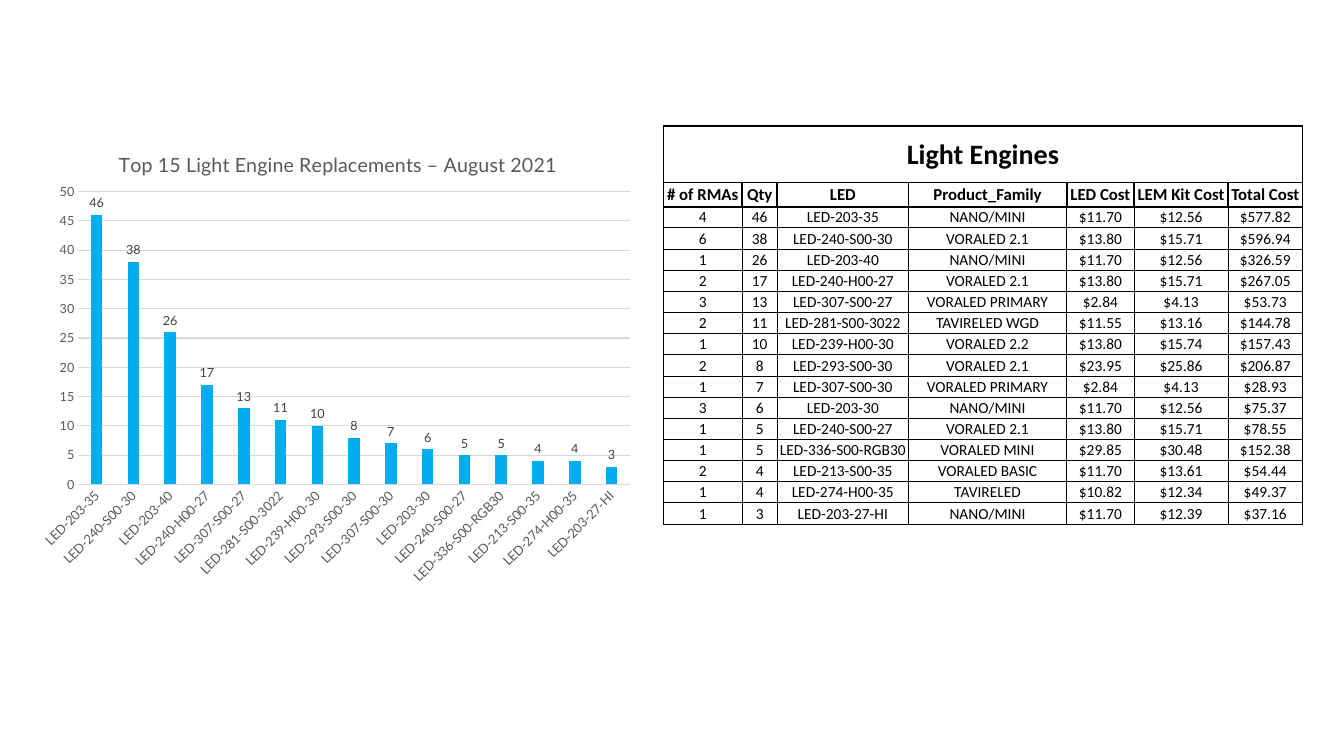
from lxml import etree
from pptx import Presentation
from pptx.chart.data import CategoryChartData
from pptx.dml.color import RGBColor
from pptx.enum.chart import XL_CHART_TYPE, XL_LABEL_POSITION, XL_TICK_MARK
from pptx.enum.text import MSO_ANCHOR, PP_ALIGN
from pptx.oxml import parse_xml
from pptx.oxml.ns import nsdecls, qn
from pptx.util import Inches, Pt

COLUMN_CLUSTERED = XL_CHART_TYPE.COLUMN_CLUSTERED
OUTSIDE_END = XL_LABEL_POSITION.OUTSIDE_END
NO_TICK = XL_TICK_MARK.NONE
CENTER = PP_ALIGN.CENTER
MIDDLE = MSO_ANCHOR.MIDDLE

CHART_TITLE = "Top 15 Light Engine Replacements – August 2021"
TABLE_TITLE = "Light Engines"
HEADERS = ["# of RMAs", "Qty", "LED", "Product_Family", "LED Cost", "LEM Kit Cost", "Total Cost"]
COLUMN_WIDTHS = [0.78, 0.35, 1.3, 1.57, 0.67, 0.93, 0.74]
LIGHT_ENGINES = [
    (4, 46, "LED-203-35", "NANO/MINI", 11.70, 12.56, 577.82),
    (6, 38, "LED-240-S00-30", "VORALED 2.1", 13.80, 15.71, 596.94),
    (1, 26, "LED-203-40", "NANO/MINI", 11.70, 12.56, 326.59),
    (2, 17, "LED-240-H00-27", "VORALED 2.1", 13.80, 15.71, 267.05),
    (3, 13, "LED-307-S00-27", "VORALED PRIMARY", 2.84, 4.13, 53.73),
    (2, 11, "LED-281-S00-3022", "TAVIRELED WGD", 11.55, 13.16, 144.78),
    (1, 10, "LED-239-H00-30", "VORALED 2.2", 13.80, 15.74, 157.43),
    (2, 8, "LED-293-S00-30", "VORALED 2.1", 23.95, 25.86, 206.87),
    (1, 7, "LED-307-S00-30", "VORALED PRIMARY", 2.84, 4.13, 28.93),
    (3, 6, "LED-203-30", "NANO/MINI", 11.70, 12.56, 75.37),
    (1, 5, "LED-240-S00-27", "VORALED 2.1", 13.80, 15.71, 78.55),
    (1, 5, "LED-336-S00-RGB30", "VORALED MINI", 29.85, 30.48, 152.38),
    (2, 4, "LED-213-S00-35", "VORALED BASIC", 11.70, 13.61, 54.44),
    (1, 4, "LED-274-H00-35", "TAVIRELED", 10.82, 12.34, 49.37),
    (1, 3, "LED-203-27-HI", "NANO/MINI", 11.70, 12.39, 37.16),
]


def color(hex_code):
    return RGBColor.from_string(hex_code)


def set_layout(element, index, **fractions):
    """Place a chart part by fractions of the chart's size."""
    for old_layout in element.findall(qn("c:layout")):
        element.remove(old_layout)
    layout = parse_xml(f"<c:layout {nsdecls('c')}><c:manualLayout/></c:layout>")
    for name, value in fractions.items():
        etree.SubElement(layout[0], qn(f"c:{name}")).set("val", str(value))
    element.insert(index, layout)


class SlideBuilder:
    chart_font = "Lato"
    table_font = "Calibri"
    black, white = "000000", "FFFFFF"
    axis_text, label_text = "595959", "404040"
    grid, bar = "D9D9D9", "00AEEF"
    thin, thick = 0.5, 1.5

    def __init__(self, slide):
        self.slide = slide

    def style_font(self, font, name, size, hex_code, bold=False):
        font.name = name
        font.size = Pt(size)
        font.bold = bold
        font.color.rgb = color(hex_code)

    def style_line(self, line):
        line.color.rgb = color(self.grid)
        line.width = Pt(0.75)

    def add_column_chart(self, left, top, width, height, title, categories, values):
        data = CategoryChartData(number_format="#,##0")
        data.categories = categories
        data.add_series("Qty", values)
        frame = self.slide.shapes.add_chart(
            COLUMN_CLUSTERED, Inches(left), Inches(top), Inches(width), Inches(height), data)
        chart = frame.chart
        self.style_font(chart.font, self.chart_font, 10, self.black)
        chart.has_legend = False
        self.add_chart_title(chart, title)
        self.style_axes(chart)
        self.style_columns(chart.plots[0])
        plot_area = chart.element.xpath("c:chart/c:plotArea")[0]
        set_layout(plot_area, 0, layoutTarget="inner", xMode="edge", yMode="edge",
                   x=0.08, y=0.14, w=0.9, h=0.625)

    def add_chart_title(self, chart, title):
        chart.has_title = True
        paragraph = chart.chart_title.text_frame.paragraphs[0]
        paragraph.text = title
        self.style_font(paragraph.font, self.chart_font, 14, self.axis_text)
        chart.chart_title.include_in_layout = False
        title_element = chart.element.xpath("c:chart/c:title")[0]
        set_layout(title_element, 1, xMode="edge", yMode="edge", x=0.14, y=0.045)

    def style_axes(self, chart):
        for axis, size in ((chart.category_axis, 9.3), (chart.value_axis, 9)):
            axis.major_tick_mark = axis.minor_tick_mark = NO_TICK
            self.style_font(axis.tick_labels.font, self.chart_font, size, self.axis_text)
        self.style_line(chart.category_axis.format.line)
        body = chart.element.xpath("c:chart/c:plotArea/c:catAx/c:txPr/a:bodyPr")[0]
        body.set("rot", "-2700000")
        value_axis = chart.value_axis
        value_axis.minimum_scale, value_axis.maximum_scale = 0, 50
        value_axis.major_unit = 5
        value_axis.format.line.fill.background()
        value_axis.has_major_gridlines = True
        self.style_line(value_axis.major_gridlines.format.line)

    def style_columns(self, plot):
        plot.gap_width, plot.overlap = 219, -27
        plot.vary_by_categories = False
        series = plot.series[0]
        series.format.fill.solid()
        series.format.fill.fore_color.rgb = color(self.bar)
        labels = series.data_labels
        labels.show_value = True
        labels.position = OUTSIDE_END
        labels.number_format = "#,##0"
        labels.number_format_is_linked = False
        self.style_font(labels.font, self.chart_font, 9, self.label_text)

    def add_table(self, left, top, column_widths, row_heights, rows):
        """Draw a table whose first row is a merged title and second row the headers."""
        frame = self.slide.shapes.add_table(
            len(rows), len(column_widths), Inches(left), Inches(top),
            Inches(sum(column_widths)), Inches(sum(row_heights)))
        table = frame.table
        table.first_row = table.horz_banding = False
        for column, width in zip(table.columns, column_widths):
            column.width = Inches(width)
        for row, height in zip(table.rows, row_heights):
            row.height = Inches(height)
        table.cell(0, 0).merge(table.cell(0, len(column_widths) - 1))
        for row_index, texts in enumerate(rows):
            size = {0: 20, 1: 12}.get(row_index, 11)
            is_heading = row_index < 2
            border = self.thick if is_heading else self.thin
            top_border = self.thick if row_index <= 2 else self.thin
            for column_index, text in enumerate(texts):
                cell = table.cell(row_index, column_index)
                self.fill_cell(cell, text, size, is_heading)
                self.add_borders(cell, L=border, R=border, T=top_border, B=border)
        for column_index in range(1, len(column_widths)):
            self.add_borders(table.cell(0, column_index),
                             L=self.thick, R=self.thick, T=self.thick, B=self.thick)

    def fill_cell(self, cell, text, size, bold):
        cell.margin_left = cell.margin_top = cell.margin_right = Inches(0.01)
        cell.margin_bottom = 0
        cell.vertical_anchor = MIDDLE
        cell.fill.solid()
        cell.fill.fore_color.rgb = color(self.white)
        paragraph = cell.text_frame.paragraphs[0]
        paragraph.text = text
        paragraph.alignment = CENTER
        self.style_font(paragraph.font, self.table_font, size, self.black, bold)

    def add_borders(self, cell, **widths):
        properties = cell._tc.get_or_add_tcPr()
        for index, (side, width) in enumerate(widths.items()):
            properties.insert(index, parse_xml(
                f'<a:ln{side} {nsdecls("a")} w="{Pt(width)}"><a:solidFill>'
                f'<a:srgbClr val="{self.black}"/></a:solidFill></a:ln{side}>'))


def main():
    presentation = Presentation()
    presentation.slide_width = Inches(13.33)
    presentation.slide_height = Inches(7.5)
    builder = SlideBuilder(presentation.slides.add_slide(presentation.slide_layouts[6]))

    builder.add_column_chart(
        0.29, 1.25, 6.08, 4.65, CHART_TITLE,
        [engine[2] for engine in LIGHT_ENGINES], [engine[1] for engine in LIGHT_ENGINES])

    body = [[str(value) for value in engine[:4]] + [f"${cost:.2f}" for cost in engine[4:]]
            for engine in LIGHT_ENGINES]
    row_heights = [0.56, 0.24] + [0.21] * len(body)
    builder.add_table(6.58, 1.25, COLUMN_WIDTHS, row_heights, [[TABLE_TITLE], HEADERS] + body)

    presentation.save("out.pptx")


if __name__ == "__main__":
    main()
